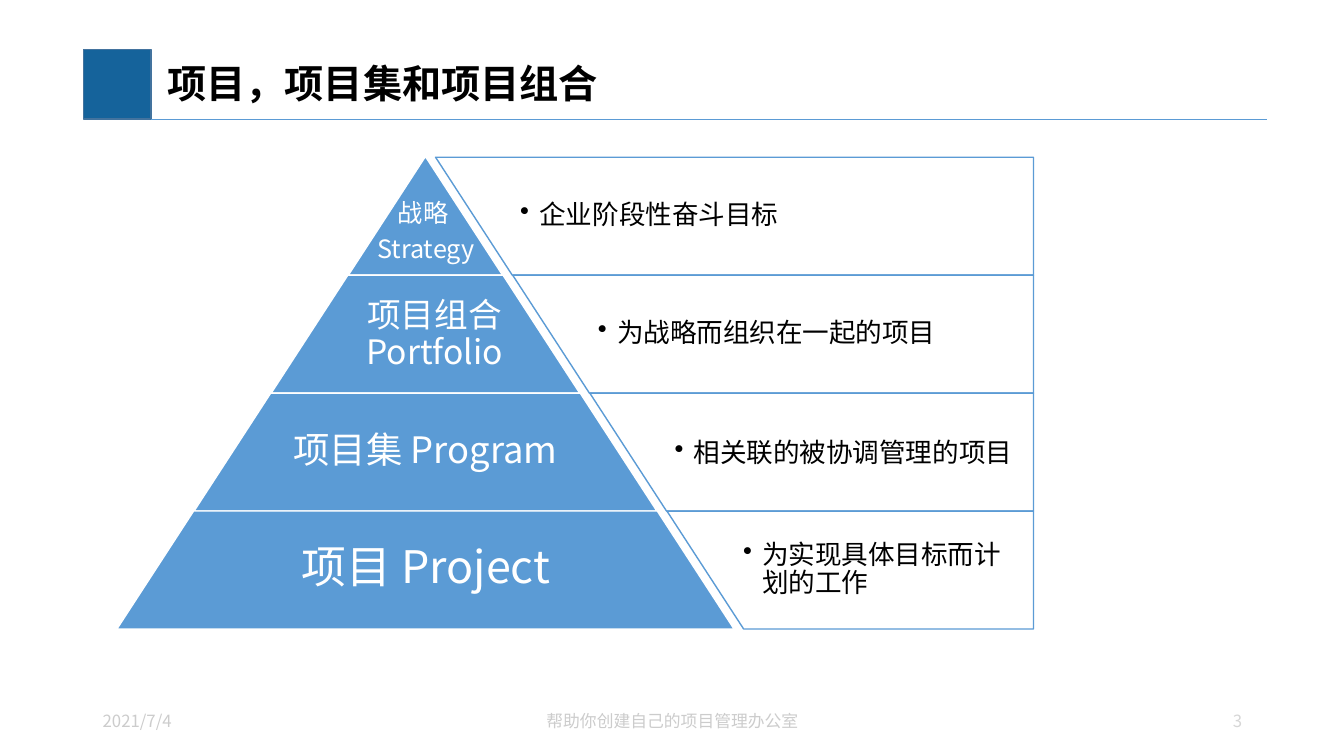
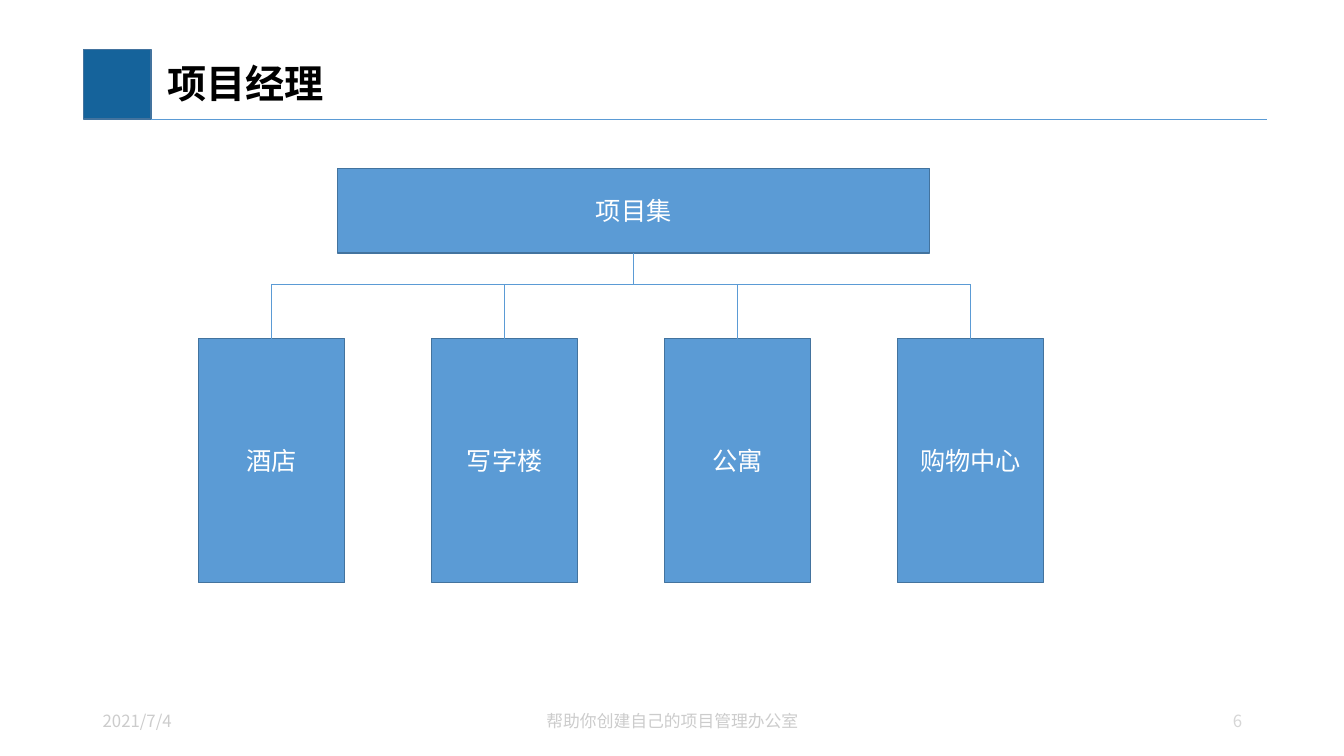
from pptx import Presentation
from pptx.dml.color import RGBColor
from pptx.enum.shapes import MSO_CONNECTOR, MSO_SHAPE
from pptx.enum.text import MSO_ANCHOR, PP_ALIGN
from pptx.oxml.ns import qn
from pptx.util import Inches, Pt
from lxml.etree import SubElement

FONT = "Noto Sans CJK SC"
WHITE, BLACK = "FFFFFF", "000000"
NAVY, BLUE, EDGE = "15639B", "5B9BD5", "43739E"
DATE_GREY, NUMBER_GREY = "CCCCCC", "D6D6D6"

DATE, FOOTER = "2021/7/4", "帮助你创建自己的项目管理办公室"

PYRAMID_TITLE, PYRAMID_NUMBER = "项目，项目集和项目组合", "3"
LEVELS = [
    {"label": ["战略 ", "Strategy"], "size": 18, "label_at": (3.46, 1.72, 1.53),
     "note": "企业阶段性奋斗目标", "note_at": (5.08, 1.56)},
    {"label": ["项目组合 Portfolio"], "size": 24, "label_at": (3.32, 2.74, 1.98),
     "note": "为战略而组织在一起的项目", "note_at": (5.85, 2.73)},
    {"label": ["项目集 Program"], "size": 26, "label_at": (2.73, 3.9, 2.98),
     "note": "相关联的被协调管理的项目", "note_at": (6.61, 3.92)},
    {"label": ["项目 Project"], "size": 32, "label_at": (2.24, 5.06, 3.97),
     "note": "为实现具体目标而计划的工作", "note_at": (7.29, 5.07)},
]
APEX_X, APEX_Y, LEVEL_HEIGHT, LEVEL_STEP = 4.22, 1.56, 1.17, 1.53
SLOPE = 0.65
NOTE_LEFT, NOTE_RIGHT = 4.32, 10.25

CHART_TITLE, CHART_NUMBER = "项目经理", "6"
PROGRAM, PROJECTS = "项目集", ["酒店", "写字楼", "公寓", "购物中心"]
PROGRAM_AT = (3.35, 1.67, 5.87, 0.84)
PROJECT_LEFT, PROJECT_TOP, PROJECT_PITCH = 1.97, 3.36, 2.31
PROJECT_WIDTH, PROJECT_HEIGHT = 1.45, 2.42
BUS_Y = 2.82


def color(hex_string):
    return RGBColor.from_string(hex_string)


def write(shape, lines, size, ink, align=PP_ALIGN.LEFT, bold=False,
          insets=(0.1, 0.05, 0.1, 0.05), spacing=1, after=0, bullet=False):
    frame = shape.text_frame
    frame.word_wrap = True
    frame.vertical_anchor = MSO_ANCHOR.MIDDLE
    frame.margin_left, frame.margin_top, frame.margin_right, frame.margin_bottom = map(Inches, insets)
    for index, line in enumerate(lines):
        paragraph = frame.add_paragraph() if index else frame.paragraphs[0]
        paragraph.alignment = align
        paragraph.line_spacing = spacing
        paragraph.space_after = Pt(after)
        if bullet:
            properties = paragraph._p.get_or_add_pPr()
            properties.set("marL", str(Inches(0.19)))
            properties.set("indent", str(Inches(-0.19)))
            SubElement(properties, qn("a:buChar")).set("char", "•")
        run = paragraph.add_run()
        run.text = line
        font = run.font
        font.name, font.size, font.bold = FONT, Pt(size), bold
        font.color.rgb = color(ink)
        SubElement(font._element, qn("a:ea")).set("typeface", FONT)


def add_text(slide, box, lines, size, ink, **style):
    write(slide.shapes.add_textbox(*map(Inches, box)), lines, size, ink, **style)


def add_block(slide, box, fill, line, kind=MSO_SHAPE.RECTANGLE, adjustments=()):
    shape = slide.shapes.add_shape(kind, *map(Inches, box))
    shape.shadow.inherit = False
    shape.fill.solid()
    shape.fill.fore_color.rgb = color(fill)
    shape.line.color.rgb = color(line)
    shape.line.width = Pt(1)
    for index, value in enumerate(adjustments):
        shape.adjustments[index] = value
    return shape


def add_line(slide, *ends):
    connector = slide.shapes.add_connector(MSO_CONNECTOR.STRAIGHT, *map(Inches, ends))
    connector.line.color.rgb = color(BLUE)
    connector.line.width = Pt(0.5)
    SubElement(connector._element.spPr, qn("a:effectLst"))


def add_slide(presentation, title, number):
    slide = presentation.slides.add_slide(presentation.slide_layouts[6])
    add_block(slide, (0.83, 0.49, 0.67, 0.69), NAVY, EDGE)
    add_line(slide, 1.5, 1.18, 12.57, 1.18)
    add_text(slide, (1.5, 0.5, 11.07, 0.7), [title], 28, BLACK, bold=True,
             insets=(0.16, 0.05, 0.1, 0.05), spacing=0.9)
    for left, width, text, ink, align in (
        (0.92, 3, DATE, DATE_GREY, PP_ALIGN.LEFT),
        (4.42, 4.5, FOOTER, DATE_GREY, PP_ALIGN.CENTER),
        (9.66, 2.76, number, NUMBER_GREY, PP_ALIGN.RIGHT),
    ):
        add_text(slide, (left, 6.95, width, 0.4), [text], 12, ink, align=align)
    return slide


def add_pyramid(slide):
    for index, level in enumerate(LEVELS):
        top = APEX_Y + index * LEVEL_HEIGHT
        width = (index + 1) * LEVEL_STEP
        add_block(slide, (APEX_X - width / 2, top, width, LEVEL_HEIGHT), BLUE, WHITE,
                  MSO_SHAPE.TRAPEZOID, [SLOPE])
        add_text(slide, (*level["label_at"], LEVEL_HEIGHT), level["label"], level["size"], WHITE,
                 align=PP_ALIGN.CENTER, insets=(0.04,) * 4, spacing=0.9, after=0.35 * level["size"])
        left = NOTE_LEFT + index * LEVEL_STEP / 2
        panel = add_block(slide, (left, top, NOTE_RIGHT - left, LEVEL_HEIGHT), WHITE, BLUE,
                          MSO_SHAPE.NON_ISOSCELES_TRAPEZOID, [0, SLOPE])
        panel.rotation = 180
        note_width = NOTE_RIGHT - left - LEVEL_STEP / 2
        add_text(slide, (*level["note_at"], note_width, LEVEL_HEIGHT), [level["note"]], 19, BLACK,
                 insets=(0.08,) * 4, spacing=0.9, after=0.15 * 19, bullet=True)


def add_project_chart(slide):
    lefts = [PROJECT_LEFT + index * PROJECT_PITCH for index in range(len(PROJECTS))]
    boxes = [(left, PROJECT_TOP, PROJECT_WIDTH, PROJECT_HEIGHT) for left in lefts]
    for text, box in zip(PROJECTS + [PROGRAM], boxes + [PROGRAM_AT]):
        write(add_block(slide, box, BLUE, EDGE), [text], 18, WHITE, align=PP_ALIGN.CENTER)
    left, top, width, height = PROGRAM_AT
    stem = left + width / 2
    centers = [left + PROJECT_WIDTH / 2 for left in lefts]
    add_line(slide, stem, top + height, stem, BUS_Y)
    add_line(slide, centers[0], BUS_Y, centers[-1], BUS_Y)
    for center in centers:
        add_line(slide, center, PROJECT_TOP, center, BUS_Y)


def main():
    presentation = Presentation()
    presentation.slide_width, presentation.slide_height = Inches(13.33), Inches(7.5)
    add_pyramid(add_slide(presentation, PYRAMID_TITLE, PYRAMID_NUMBER))
    add_project_chart(add_slide(presentation, CHART_TITLE, CHART_NUMBER))
    presentation.save("out.pptx")


if __name__ == "__main__":
    main()
